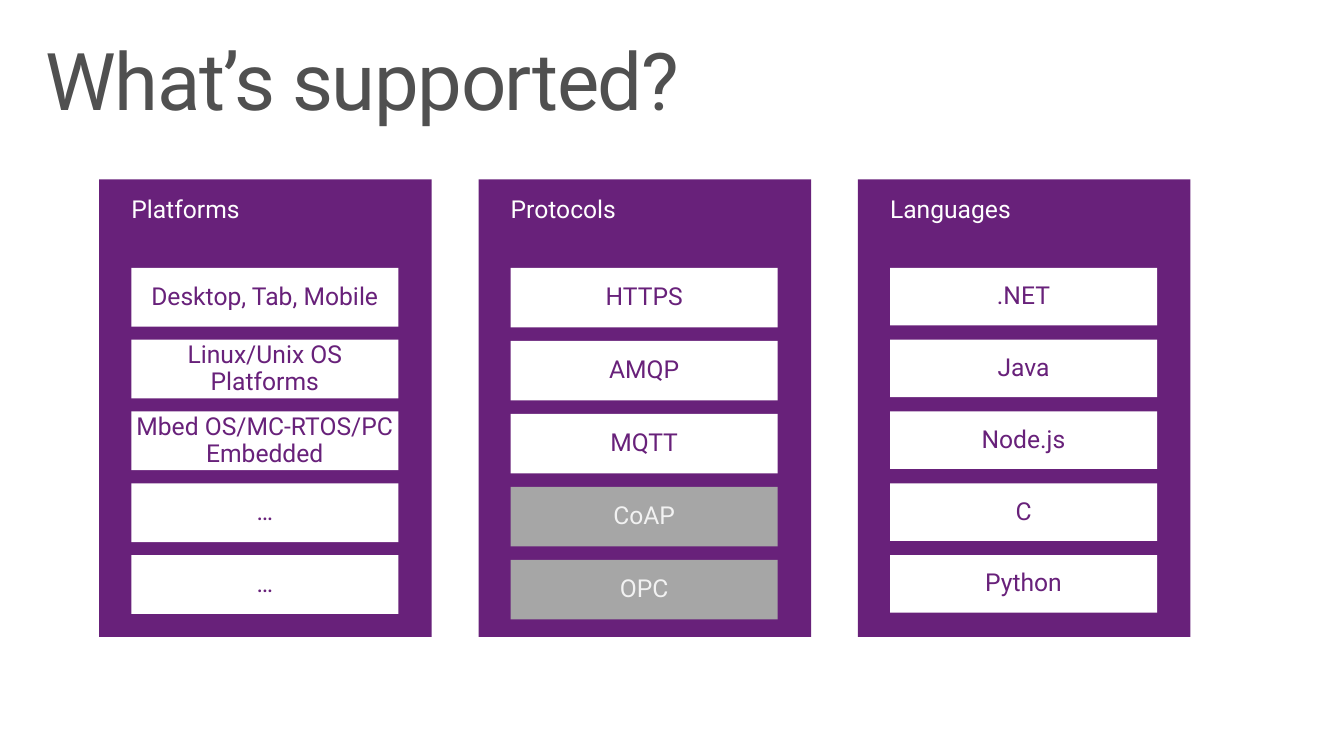
from dataclasses import dataclass

from pptx import Presentation
from pptx import util as u
from pptx.dml.color import RGBColor
from pptx.enum import shapes, text

FONT = "Roboto"
PURPLE = "68217A"
WHITE = "FFFFFF"
GREY = "A6A6A6"
PALE = "F2F2F2"
TITLE_GREY = "505050"

PANEL_LEFT, PANEL_TOP = 2.5, 4.52
PANEL_WIDTH, PANEL_HEIGHT = 8.38, 11.53
PANEL_PITCH = 9.56
INSET = 0.81
CONTENT_WIDTH = 6.73
HEADING_TOP, HEADING_HEIGHT = 4.93, 0.7
FIRST_ITEM_TOP = 6.75


@dataclass
class Panel:
    heading: str
    items: list[str]
    item_height: float
    item_pitch: float
    planned: tuple[str, ...] = ()


PANELS = [
    Panel(
        "Platforms",
        [
            "Desktop, Tab, Mobile",
            "Linux/Unix OS Platforms",
            "Mbed OS/MC-RTOS/PC Embedded",
            "…",
            "…",
        ],
        1.48,
        1.81,
    ),
    Panel(
        "Protocols",
        ["HTTPS", "AMQP", "MQTT", "CoAP", "OPC"],
        1.5,
        1.84,
        ("CoAP", "OPC"),
    ),
    Panel("Languages", [".NET", "Java", "Node.js", "C", "Python"], 1.45, 1.81),
]


def colour(value: str) -> RGBColor:
    return RGBColor.from_string(value)


def set_margins(frame, horizontal: float, vertical: float) -> None:
    frame.margin_left = frame.margin_right = u.Cm(horizontal)
    frame.margin_top = frame.margin_bottom = u.Cm(vertical)
    frame.word_wrap = True


def style(para, size: float, font_colour: str) -> None:
    para.font.name = FONT
    para.font.size = u.Pt(size)
    para.font.color.rgb = colour(font_colour)


def add_rectangle(page, left: float, top: float, width: float, height: float, fill: str):
    box = page.shapes.add_shape(
        shapes.MSO_SHAPE.RECTANGLE, u.Cm(left), u.Cm(top), u.Cm(width), u.Cm(height)
    )
    box.shadow.inherit = False
    box.fill.solid()
    box.fill.fore_color.rgb = colour(fill)
    box.line.fill.background()
    return box


def add_heading(page, left: float, heading: str) -> None:
    box = page.shapes.add_textbox(
        u.Cm(left), u.Cm(HEADING_TOP), u.Cm(CONTENT_WIDTH), u.Cm(HEADING_HEIGHT)
    )
    set_margins(box.text_frame, 0, 0)
    box.text_frame.auto_size = text.MSO_AUTO_SIZE.SHAPE_TO_FIT_TEXT
    para = box.text_frame.paragraphs[0]
    para.text = heading
    para.line_spacing = u.Pt(19.6)
    style(para, 17.6, WHITE)


def add_item(page, left: float, top: float, height: float, label: str, planned: bool) -> None:
    box = add_rectangle(page, left, top, CONTENT_WIDTH, height, GREY if planned else WHITE)
    set_margins(box.text_frame, 0, 0)
    box.text_frame.vertical_anchor = text.MSO_ANCHOR.MIDDLE
    para = box.text_frame.paragraphs[0]
    para.text = label
    para.alignment = text.PP_ALIGN.CENTER
    para.line_spacing = 0.9
    style(para, 17.6, PALE if planned else PURPLE)


def add_panel(page, left: float, panel: Panel) -> None:
    add_rectangle(page, left, PANEL_TOP, PANEL_WIDTH, PANEL_HEIGHT, PURPLE)
    add_heading(page, left + INSET, panel.heading)
    for row, label in enumerate(panel.items):
        top = FIRST_ITEM_TOP + row * panel.item_pitch
        add_item(page, left + INSET, top, panel.item_height, label, label in panel.planned)


def format_title(title) -> None:
    title.left, title.top = u.Cm(0.74), u.Cm(0.81)
    title.width, title.height = u.Cm(32.36), u.Cm(2.49)
    frame = title.text_frame
    set_margins(frame, 0.41, 0.25)
    frame.auto_size = text.MSO_AUTO_SIZE.NONE
    frame.vertical_anchor = text.MSO_ANCHOR.TOP
    para = frame.paragraphs[0]
    span = para.add_run()
    span.text = "What’s supported?"
    span.font.size = u.Pt(56.9)
    para.alignment = text.PP_ALIGN.LEFT
    para.line_spacing = 0.9
    style(para, 56.9, TITLE_GREY)
    for properties in title.element.xpath(".//a:rPr"):
        properties.set("spc", "-100")


def main() -> None:
    deck = Presentation()
    deck.slide_width, deck.slide_height = u.Cm(33.87), u.Cm(19.05)
    page = deck.slides.add_slide(deck.slide_layouts.get_by_name("Title Only"))
    format_title(page.shapes.title)
    for column, panel in enumerate(PANELS):
        add_panel(page, PANEL_LEFT + column * PANEL_PITCH, panel)
    deck.save("out.pptx")


if __name__ == "__main__":
    main()
